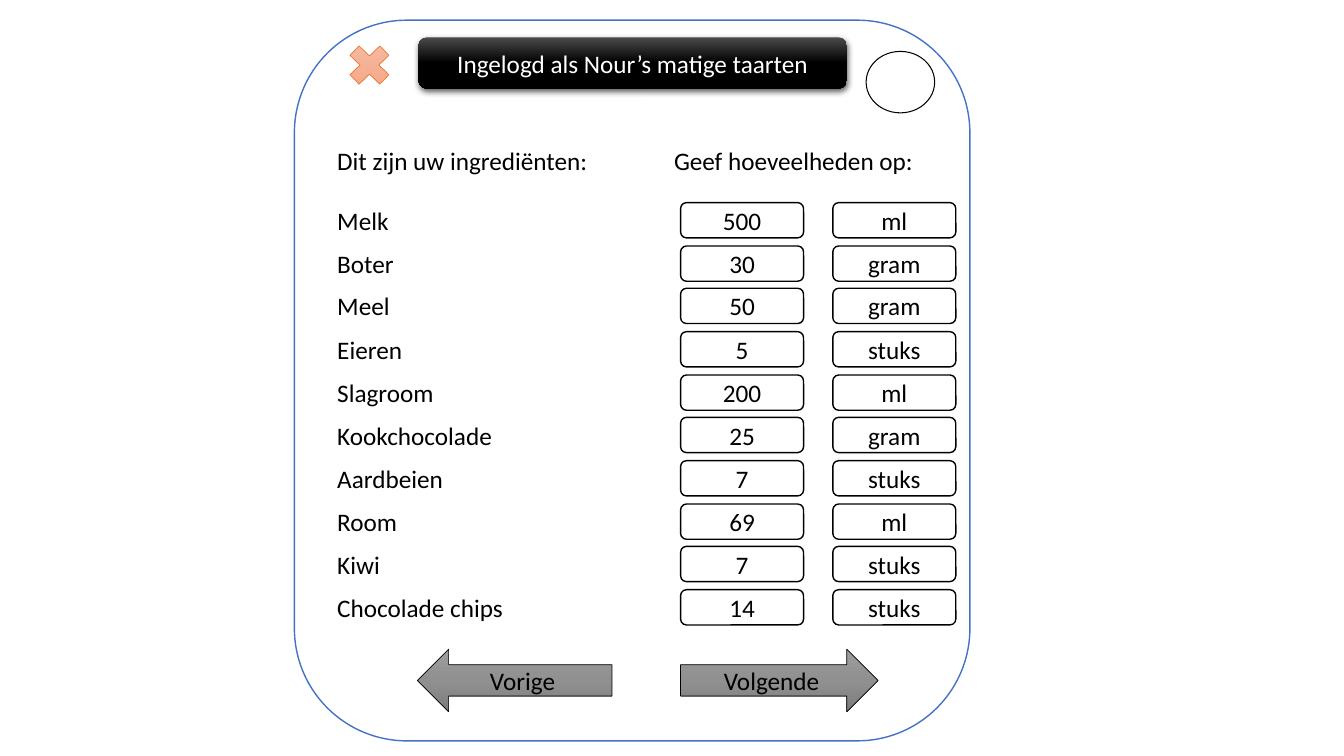
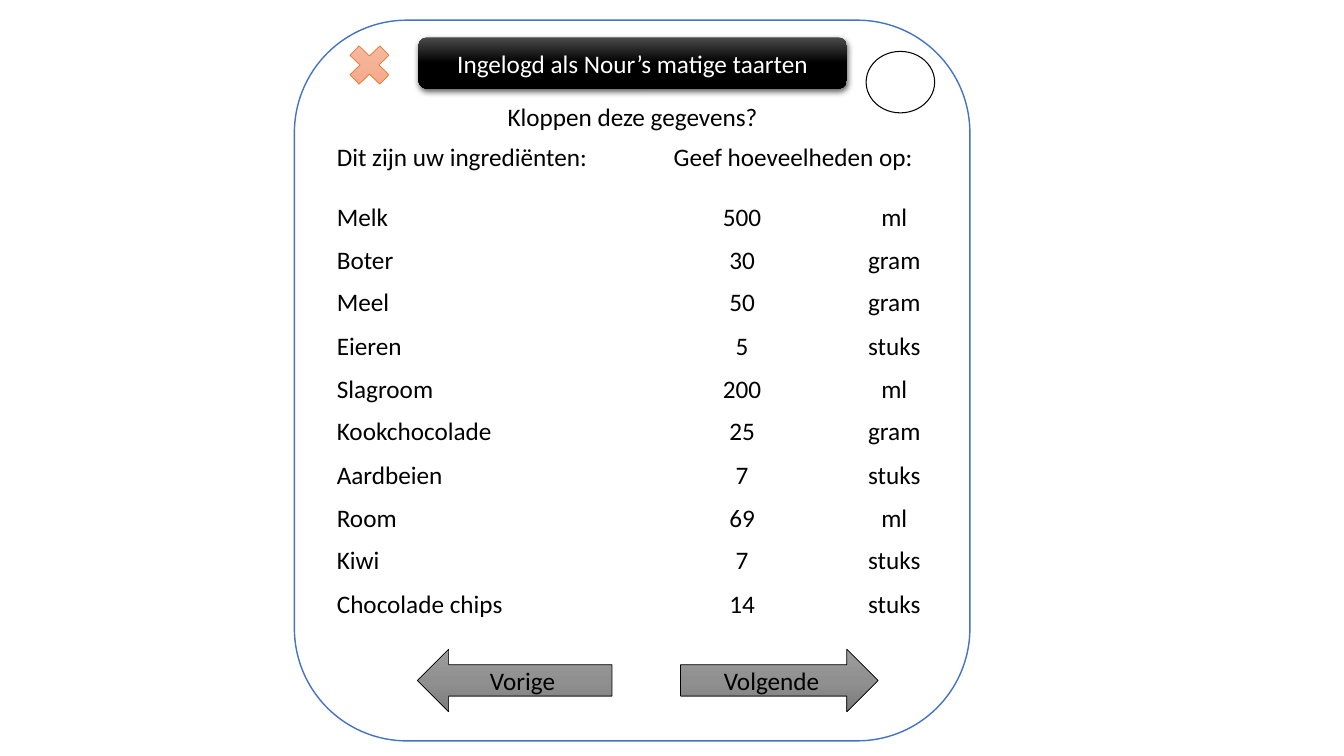
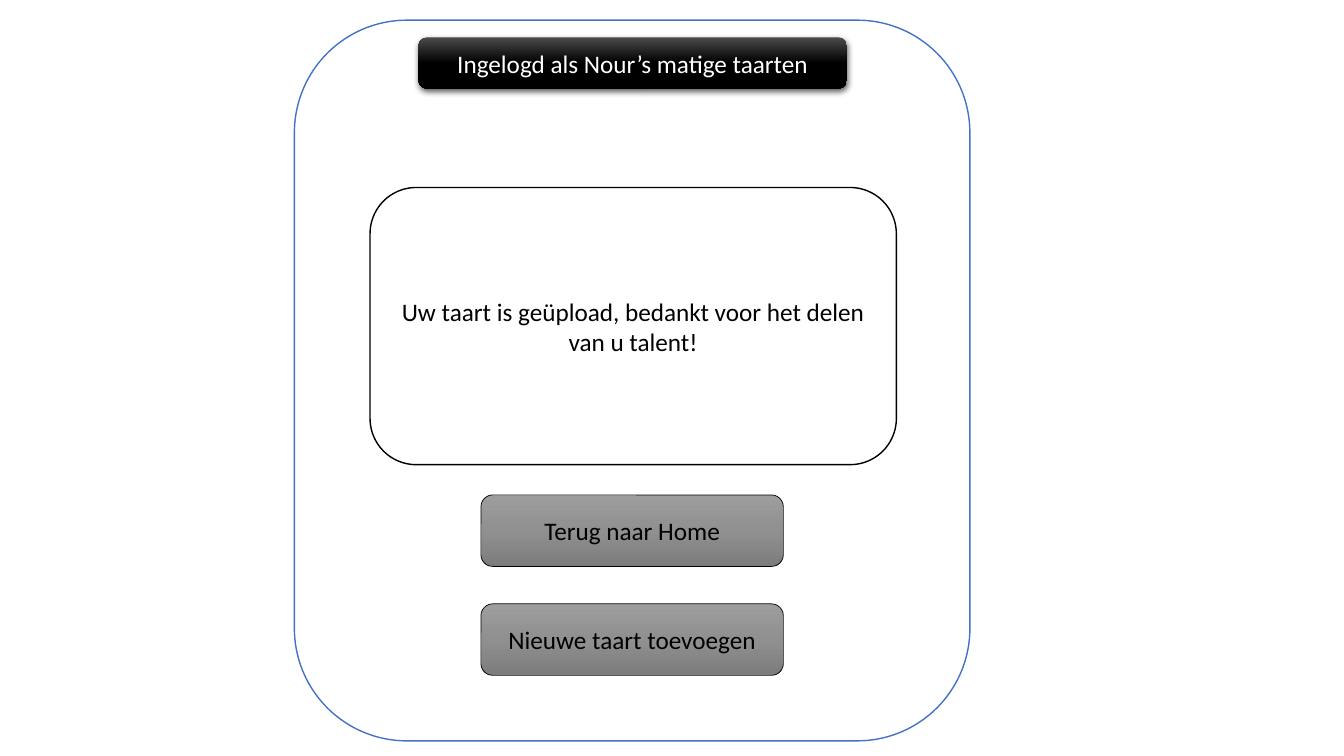
from dataclasses import dataclass

from lxml import etree
from pptx import Presentation
from pptx import util as u
from pptx.dml.color import RGBColor
from pptx.enum import shapes, text
from pptx.oxml.ns import qn

PX = 9144
KIND = shapes.MSO_SHAPE
ALIGN = text.PP_ALIGN


@dataclass(frozen=True)
class Theme:
    font: str = "Calibri"
    size: int = 18
    ink: str = "000000"
    paper: str = "FFFFFF"
    frame: str = "4472C4"
    close: str = "ED7D31"
    banner_fill: tuple = ("4B4B4B", "000000", "000000")
    button_fill: tuple = ("9D9D9D", "909090", "7C7C7C")
    close_fill: tuple = ("F7BDA5", "F5B196", "F8A582")
    line: float = 1
    line_thin: float = 0.5
    line_circle: float = 0.75


T = Theme()
FRAME = (292, 20, 670, 715)
ROW_GAP = 128 / 3
INGREDIENTS = [
    ("Melk", "500", "ml"),
    ("Boter", "30", "gram"),
    ("Meel", "50", "gram"),
    ("Eieren", "5", "stuks"),
    ("Slagroom", "200", "ml"),
    ("Kookchocolade", "25", "gram"),
    ("Aardbeien", "7", "stuks"),
    ("Room", "69", "ml"),
    ("Kiwi", "7", "stuks"),
    ("Chocolade chips", "14", "stuks"),
]


def inside(box, x, y, w, h):
    return box[0] + x, box[1] + y, w, h


def add_color(parent, color):
    return etree.SubElement(parent, qn("a:srgbClr"), val=color)


def set_gradient(sp, colors):
    sp.fill.gradient()
    sp.fill.gradient_angle = 270
    stops = sp.element.spPr.find(".//" + qn("a:gsLst"))
    stops.clear()
    for pos, color in zip((0, 50000, 100000), colors):
        add_color(etree.SubElement(stops, qn("a:gs"), pos=str(pos)), color)


def set_shadow(sp):
    effects = sp.element.spPr.find(qn("a:effectLst"))
    shadow = etree.SubElement(
        effects, qn("a:outerShdw"), blurRad=str(u.Pt(4.5)),
        dist=str(u.Pt(1.5)), dir="5400000", algn="ctr", rotWithShape="0")
    etree.SubElement(add_color(shadow, T.ink), qn("a:alpha"), val="63000")


def add_shape(s, box, kind=KIND.ROUNDED_RECTANGLE, fill=None, line=None,
              width=T.line, label=None, color=T.ink, align=ALIGN.CENTER):
    sp = s.shapes.add_shape(kind, *(v * PX for v in box))
    sp.shadow.inherit = False
    if fill is None:
        sp.fill.background()
    elif isinstance(fill, tuple):
        set_gradient(sp, fill)
    else:
        sp.fill.solid()
        sp.fill.fore_color.rgb = RGBColor.from_string(fill)
    if line is None:
        sp.line.fill.background()
    else:
        sp.line.color.rgb = RGBColor.from_string(line)
        sp.line.width = u.Pt(width)
    if label:
        tf = sp.text_frame
        tf.word_wrap = True
        tf.vertical_anchor = text.MSO_ANCHOR.MIDDLE
        p = tf.paragraphs[0]
        p.alignment = align
        r = p.add_run()
        r.text = label
        r.font.name = T.font
        r.font.size = u.Pt(T.size)
        r.font.color.rgb = RGBColor.from_string(color)
    return sp


def add_button(s, box, label, kind=KIND.ROUNDED_RECTANGLE):
    add_shape(s, box, kind, T.button_fill, T.ink, T.line_thin, label)


def add_screen(prs, box):
    s = prs.slides.add_slide(prs.slide_layouts[6])
    add_shape(s, box, fill=T.paper, line=T.frame)
    banner = add_shape(s, inside(box, 123, 17, 425, 51), fill=T.banner_fill,
                       label="Ingelogd als Nour’s matige taarten", color=T.paper)
    set_shadow(banner)
    return s


def add_controls(s, box):
    add_button(s, inside(box, 383, 624, 196, 62), "Volgende", KIND.RIGHT_ARROW)
    add_button(s, inside(box, 122, 624, 193, 62), "Vorige", KIND.LEFT_ARROW)
    add_shape(s, inside(box, 567, 31, 68, 61), KIND.OVAL,
              line=T.ink, width=T.line_circle)
    add_shape(s, inside(box, 46, 17, 57, 55), KIND.MATH_MULTIPLY,
              T.close_fill, T.close, T.line_thin)


def add_ingredients(s, box, height, boxed):
    style = dict(fill=T.paper, line=T.ink) if boxed else {}
    for x, w, heading in ((0, 323, "Dit zijn uw ingrediënten:"),
                          (334, 290, "Geef hoeveelheden op:")):
        add_shape(s, inside(box, x, 0, w, height), label=heading, align=ALIGN.LEFT)
    for i, (name, amount, unit) in enumerate(INGREDIENTS):
        y = 59 + round(i * ROW_GAP)
        add_shape(s, inside(box, 0, y, 323, height), label=name, align=ALIGN.LEFT)
        for x, value in ((352, amount), (503, unit)):
            add_shape(s, inside(box, x, y, 122, height), label=value, **style)


def ingredients_slide(prs, box, height, boxed, question=None):
    s = add_screen(prs, box)
    add_ingredients(s, inside(box, 31, 122, 625, 478), height, boxed)
    if question:
        add_shape(s, inside(box, 139, 79, 393, 33), label=question)
    add_controls(s, box)


def thanks_slide(prs, box):
    s = add_screen(prs, box)
    add_shape(s, inside(box, 75, 166, 522, 275), fill=T.paper, line=T.ink,
              label="Uw taart is geüpload, bedankt voor het delen van u talent!")
    for i, label in enumerate(("Terug naar Home", "Nieuwe taart toevoegen")):
        add_button(s, inside(box, 185, 471 + i * 108, 300, 71), label)


def main():
    prs = Presentation()
    prs.slide_width = 1333 * PX
    prs.slide_height = 750 * PX
    ingredients_slide(prs, FRAME, 35, True)
    ingredients_slide(prs, FRAME, 27, False, "Kloppen deze gegevens?")
    thanks_slide(prs, FRAME)
    prs.save("out.pptx")


if __name__ == "__main__":
    main()
